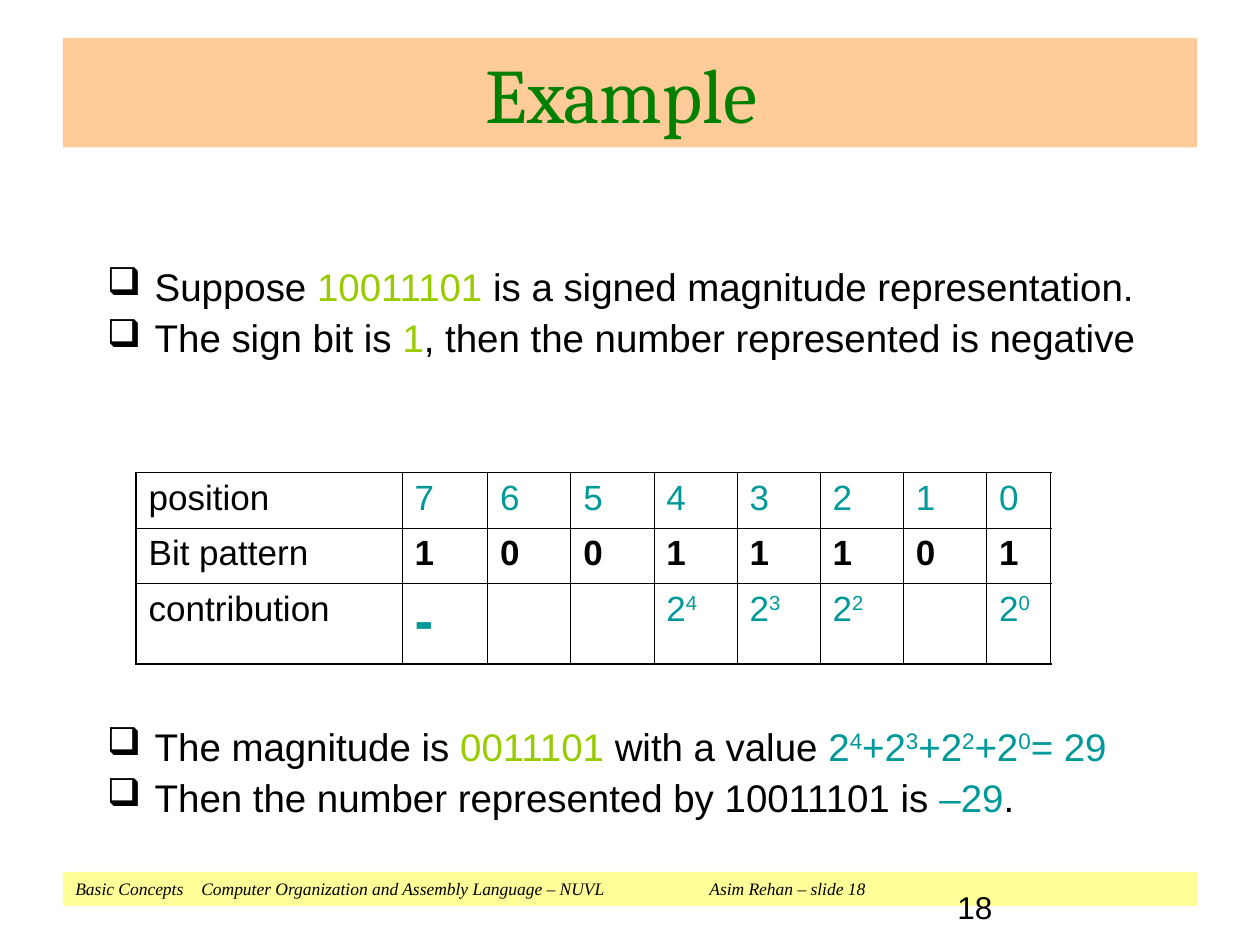
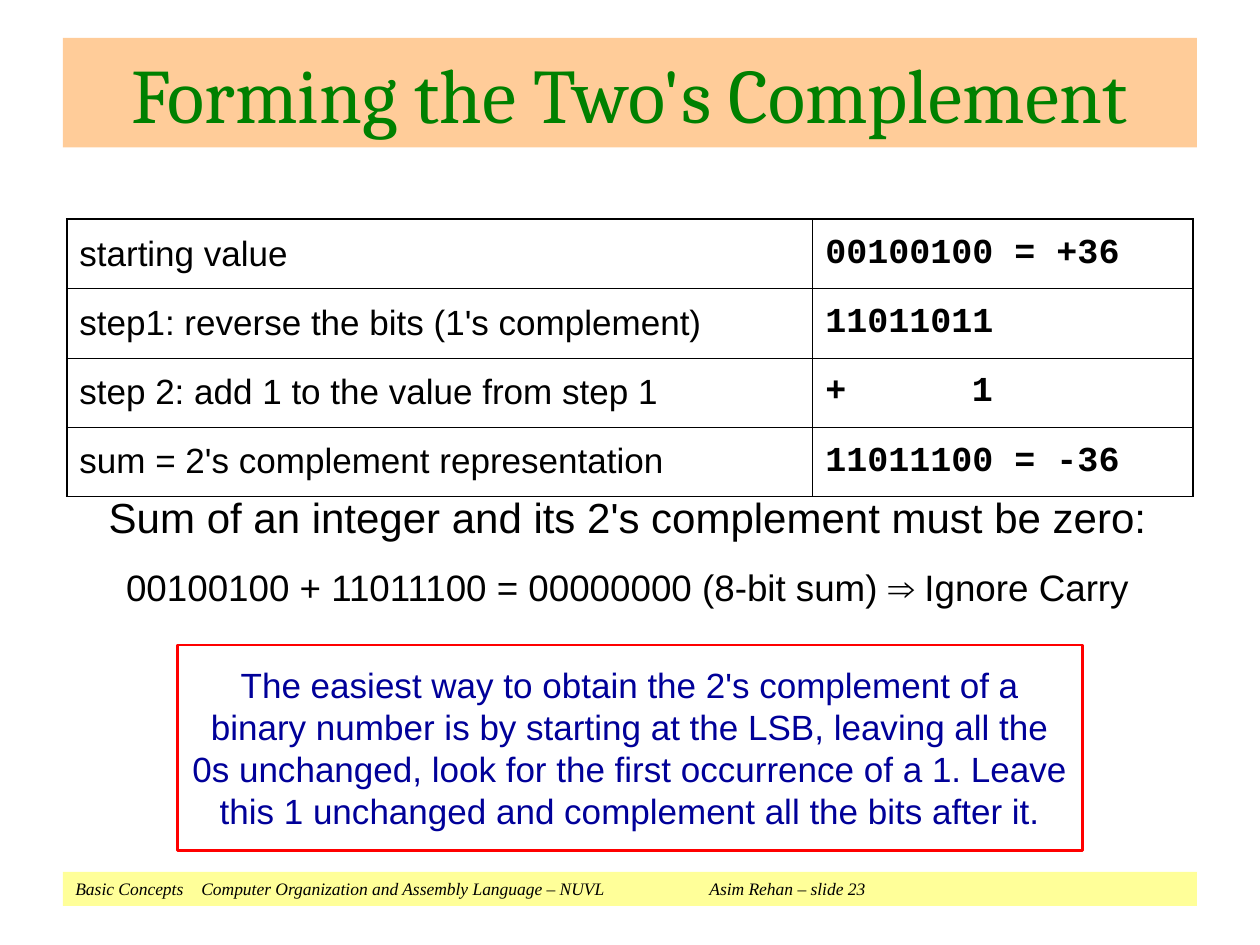
"""Build two slides on signed magnitude and two's complement numbers."""
import pptx
import pptx.util
import pptx.dml.color
import pptx.enum.shapes
import pptx.enum.text
import pptx.oxml
import pptx.oxml.ns

Inches = pptx.util.Inches
Pt = pptx.util.Pt
ALIGN = pptx.enum.text.PP_ALIGN
ANCHOR = pptx.enum.text.MSO_ANCHOR

COLORS = {
    "black": "000000", "title": "008000", "title band": "FFCC99",
    "footer band": "FFFF99", "bits": "99CC00", "value": "009999",
    "note": "000099", "note border": "FF0000",
}
STYLES = {
    "title": {"size": 44, "font": "Cambria", "color": "title"},
    "footer": {"size": 10, "font": "Times New Roman", "italic": True},
    "number": {"size": 18},
    "body": {"size": 22},
    "body bits": {"size": 22, "color": "bits"},
    "body value": {"size": 22, "color": "value"},
    "body power": {"size": 22, "color": "value", "raised": True},
    "cell": {"size": 20},
    "cell bold": {"size": 20, "bold": True},
    "cell code": {"size": 20, "bold": True, "font": "Courier New"},
    "cell value": {"size": 20, "color": "value"},
    "cell power": {"size": 20, "color": "value", "raised": True},
    "minus": {"size": 32, "color": "value", "bold": True},
    "claim": {"size": 24},
    "sum": {"size": 21},
    "note": {"size": 20, "color": "note"},
}

TITLE_BAND = (0.5, 0.3, 9, 0.87)
FOOTER_BAND = (0.5, 6.92, 9, 0.27)
FOOTER = "Basic Concepts\tComputer Organization and Assembly Language – NUVL\t Asim Rehan – slide {}"
FOOTER_TABS = (1, 5)
THICK, THIN = 1.08, 0.45

BIT_PATTERN = "10011101"
POWERS = [7 - place for place, bit in enumerate(BIT_PATTERN) if place and bit == "1"]
POWER_SUM = [
    run for index, power in enumerate(POWERS)
    for run in (("+2" if index else "2", "body value"), (str(power), "body power"))
]
PREMISES = [
    [("Suppose ", "body"), (BIT_PATTERN, "body bits"),
     (" is a signed magnitude representation.", "body")],
    [("The sign bit is ", "body"), ("1", "body bits"),
     (", then the number represented is negative", "body")],
]
CONCLUSIONS = [
    [("The magnitude is ", "body"), ("0011101", "body bits"), (" with a value ", "body"),
     *POWER_SUM, ("= 29", "body value")],
    [("Then the number represented by 10011101 is ", "body"), ("–29", "body value"),
     (".", "body")],
]
BULLET_BOXES = [(2.08, PREMISES), (5.73, CONCLUSIONS)]

BIT_TABLE = [
    [[("position", "cell")]] + [[(str(place), "cell value")] for place in range(7, -1, -1)],
    [[("Bit pattern", "cell")]] + [[(bit, "cell bold")] for bit in BIT_PATTERN],
    [[("contribution", "cell")], [("-", "minus")]] + [
        [("2", "cell value"), (str(place), "cell power")] if place in POWERS else []
        for place in range(6, -1, -1)],
]
BIT_COLUMNS = [2.11, 0.68] + [0.66] * 6 + [0.51]
BIT_ROWS = [0.44, 0.44, 0.64]

COMPLEMENT_STEPS = [
    ("starting value", "00100100 = +36"),
    ("step1: reverse the bits (1's complement)", "11011011"),
    ("step 2: add 1 to the value from step 1", "+\t1"),
    ("sum = 2's complement representation", "11011100 = -36"),
]
COMPLEMENT_COLUMNS = [5.92, 3.02]
LAST_DIGIT_TAB = 1.33
CLAIM = [
    [("Sum of an integer and its 2's complement must be zero:", "claim")],
    [("00100100 + 11011100 = 00000000 (8-bit sum) ⇒ Ignore Carry", "sum")],
]
NOTE = [[(
    "The easiest way to obtain the 2's complement of a binary number is by starting at "
    "the LSB, leaving all the 0s unchanged, look for the first occurrence of a 1. Leave "
    "this 1 unchanged and complement all the bits after it.", "note")]]


def rgb(name):
    return pptx.dml.color.RGBColor.from_string(COLORS[name])


def add_element(parent, xml):
    tag, rest = xml.split(" ", 1)
    element = pptx.oxml.parse_xml(f"<a:{tag} {pptx.oxml.ns.nsdecls('a')} {rest}")
    parent.append(element)


def add_tabs(paragraph, positions, align="l"):
    stops = "".join(f'<a:tab pos="{Inches(position)}" algn="{align}"/>' for position in positions)
    add_element(paragraph._p.get_or_add_pPr(), f"tabLst >{stops}</a:tabLst>")


def add_bullet(paragraph):
    properties = paragraph._p.get_or_add_pPr()
    properties.set("marL", str(Inches(0.38)))
    properties.set("indent", str(-Inches(0.38)))
    add_element(properties, 'buChar char="❑"/>')


def write_runs(paragraph, runs):
    for text, style_name in runs:
        style = STYLES[style_name]
        run = paragraph.add_run()
        run.text = text
        run.font.size = Pt(style["size"])
        run.font.name = style.get("font", "Arial")
        run.font.bold = style.get("bold", False)
        run.font.italic = style.get("italic", False)
        run.font.color.rgb = rgb(style.get("color", "black"))
        if style.get("raised"):
            run._r.get_or_add_rPr().set("baseline", "30000")


def write_paragraphs(shape, paragraphs, align=ALIGN.LEFT, anchor=ANCHOR.TOP,
                     before=0, spacing=None):
    frame = shape.text_frame
    frame.word_wrap = True
    frame.vertical_anchor = anchor
    for index, runs in enumerate(paragraphs):
        paragraph = frame.paragraphs[0] if index == 0 else frame.add_paragraph()
        paragraph.alignment = align
        paragraph.space_before = Pt(before)
        if spacing:
            paragraph.line_spacing = spacing
        write_runs(paragraph, runs)
    return frame


def add_box(slide, box, fill=None, line=None):
    shape = slide.shapes.add_shape(
        pptx.enum.shapes.MSO_SHAPE.RECTANGLE, *map(Inches, box))
    shape.shadow.inherit = False
    if fill:
        shape.fill.solid()
        shape.fill.fore_color.rgb = rgb(fill)
    else:
        shape.fill.background()
    if line:
        shape.line.color.rgb = rgb(line)
        shape.line.width = Pt(1.5)
    else:
        shape.line.fill.background()
    return shape


def add_text(slide, box, paragraphs, **layout):
    return write_paragraphs(slide.shapes.add_textbox(*map(Inches, box)), paragraphs, **layout)


def add_grid(slide, left, top, columns, rows, cells, anchor=ANCHOR.TOP):
    table = slide.shapes.add_table(
        len(rows), len(columns), Inches(left), Inches(top),
        Inches(sum(columns)), Inches(sum(rows))).table
    table.first_row = table.horz_banding = False
    for column, width in zip(table.columns, columns):
        column.width = Inches(width)
    for row, height in zip(table.rows, rows):
        row.height = Inches(height)
    for row_index, row_cells in enumerate(cells):
        for column_index, runs in enumerate(row_cells):
            cell = table.cell(row_index, column_index)
            outer_sides = {
                "L": column_index == 0, "R": column_index == len(columns) - 1,
                "T": row_index == 0, "B": row_index == len(rows) - 1}
            cell.vertical_anchor = anchor
            for side, outer in outer_sides.items():
                width = Pt(THICK if outer else THIN)
                add_element(
                    cell._tc.get_or_add_tcPr(),
                    f'ln{side} w="{width}"><a:solidFill><a:srgbClr val="{COLORS["black"]}"/>'
                    f"</a:solidFill></a:ln{side}>")
            cell.fill.background()
            paragraph = cell.text_frame.paragraphs[0]
            paragraph.space_before = Pt(5)
            write_runs(paragraph, runs)
    return table


def add_base_slide(presentation, title, number):
    slide = presentation.slides.add_slide(presentation.slide_layouts[6])
    footer = write_paragraphs(
        add_box(slide, FOOTER_BAND, "footer band"), [[(FOOTER.format(number), "footer")]],
        anchor=ANCHOR.MIDDLE)
    add_tabs(footer.paragraphs[0], FOOTER_TABS)
    write_paragraphs(
        add_box(slide, TITLE_BAND, "title band"), [[(title, "title")]],
        align=ALIGN.CENTER, anchor=ANCHOR.MIDDLE)
    return slide


def build_example(presentation):
    slide = add_base_slide(presentation, "Example ", 18)
    add_text(slide, (7.5, 7, 1.75, 0.5), [[("18", "number")]])
    for top, statements in BULLET_BOXES:
        frame = add_text(slide, (0.75, top, 8.5, 0.85), statements, before=5.5, spacing=0.9)
        for paragraph in frame.paragraphs:
            add_bullet(paragraph)
    add_grid(slide, 1.08, 3.75, BIT_COLUMNS, BIT_ROWS, BIT_TABLE)


def build_complement(presentation):
    slide = add_base_slide(presentation, "Forming the Two's Complement", 23)
    claim = add_text(slide, (0.67, 3.75, 8.62, 1.23), CLAIM, align=ALIGN.CENTER, before=13.1)
    claim.margin_top = claim.margin_bottom = Inches(0.15)
    write_paragraphs(
        add_box(slide, (1.41, 5.12, 7.18, 1.63), line="note border"), NOTE,
        align=ALIGN.CENTER, anchor=ANCHOR.MIDDLE)
    cells = [[[(step, "cell")], [(bits, "cell code")]] for step, bits in COMPLEMENT_STEPS]
    table = add_grid(slide, 0.53, 1.74, COMPLEMENT_COLUMNS, [0.55] * len(cells), cells,
                     ANCHOR.MIDDLE)
    add_tabs(table.cell(2, 1).text_frame.paragraphs[0], [LAST_DIGIT_TAB], "r")


def main():
    presentation = pptx.Presentation()
    presentation.slide_width = Inches(10)
    presentation.slide_height = Inches(7.5)
    build_example(presentation)
    build_complement(presentation)
    presentation.save("out.pptx")


if __name__ == "__main__":
    main()
